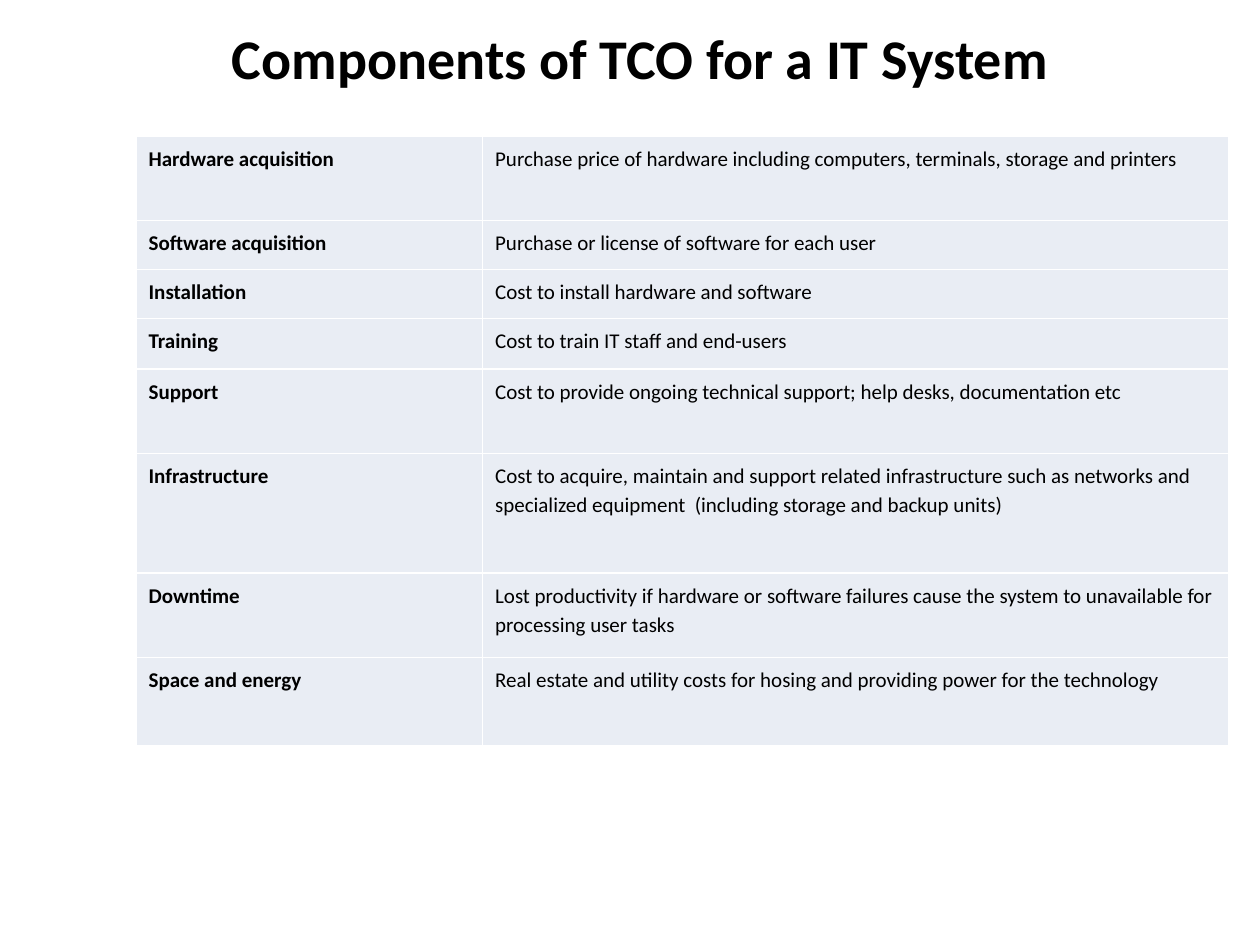
from lxml.etree import SubElement
from pptx import Presentation
from pptx.dml.color import RGBColor
from pptx.enum.text import MSO_ANCHOR, PP_ALIGN
from pptx.oxml.ns import qn
from pptx.util import Inches, Pt

COMPONENTS = [
    # name, description, row height
    ("Hardware acquisition",
     "Purchase price of hardware including computers, terminals, storage and printers", 0.67),
    ("Software acquisition", "Purchase or license of software for each user", 0.39),
    ("Installation", "Cost to install hardware and software", 0.39),
    ("Training", "Cost to train IT staff and end-users", 0.4),
    ("Support",
     "Cost to provide ongoing technical support; help desks, documentation etc", 0.67),
    ("Infrastructure",
     "Cost to acquire, maintain and support related infrastructure such as networks and "
     "specialized equipment  (including storage and backup units)", 0.95),
    ("Downtime",
     "Lost productivity if hardware or software failures cause the system to unavailable "
     "for processing user tasks", 0.67),
    ("Space and energy",
     "Real estate and utility costs for hosing and providing power for the technology", 0.7),
]
COLUMN_WIDTHS = [2.75, 5.92]


def color(hex_string):
    return RGBColor.from_string(hex_string)


class SlideBuilder:
    font_name = "Calibri"
    text_color = "000000"
    cell_color = "E9EDF4"
    border_color = "FFFFFF"

    def __init__(self, slide):
        self.slide = slide

    def style(self, paragraph, size, bold):
        font = paragraph.font
        font.name = self.font_name
        font.size = Pt(size)
        font.bold = bold
        font.color.rgb = color(self.text_color)

    def title(self, text, left, top, width, height):
        title = self.slide.shapes.title
        title.left, title.top = Inches(left), Inches(top)
        title.width, title.height = Inches(width), Inches(height)
        title.text_frame.text = text
        title.text_frame.vertical_anchor = MSO_ANCHOR.MIDDLE
        paragraph = title.text_frame.paragraphs[0]
        paragraph.alignment = PP_ALIGN.CENTER
        self.style(paragraph, 32, True)

    def table(self, rows, column_widths, left, top):
        height = sum(row[-1] for row in rows)
        table = self.slide.shapes.add_table(
            len(rows), len(column_widths), Inches(left), Inches(top),
            Inches(sum(column_widths)), Inches(height)).table
        table.first_row = table.horz_banding = False
        for column, width in zip(table.columns, column_widths):
            column.width = Inches(width)
        for row, (name, description, row_height) in zip(table.rows, rows):
            row.height = Inches(row_height)
            self.cell(row.cells[0], name, True)
            self.cell(row.cells[1], description, False)

    def cell(self, cell, text, bold):
        cell.text = text
        paragraph = cell.text_frame.paragraphs[0]
        paragraph.line_spacing = 1.15
        self.style(paragraph, 12, bold)
        self.borders(cell)
        cell.fill.solid()
        cell.fill.fore_color.rgb = color(self.cell_color)

    def borders(self, cell):
        """Draw all four sides; must run before the fill, which follows them in the XML."""
        properties = cell._tc.get_or_add_tcPr()
        for side in ("a:lnL", "a:lnR", "a:lnT", "a:lnB"):
            line = SubElement(properties, qn(side), w=str(Pt(1)))
            fill = SubElement(line, qn("a:solidFill"))
            SubElement(fill, qn("a:srgbClr"), val=self.border_color)


def main():
    presentation = Presentation()
    presentation.slide_width, presentation.slide_height = Inches(10), Inches(7.5)
    title_only = presentation.slide_layouts[5]
    builder = SlideBuilder(presentation.slides.add_slide(title_only))
    builder.title("Components of TCO for a IT System", 0.58, -0.17, 9, 1.25)
    builder.table(COMPONENTS, COLUMN_WIDTHS, 1.08, 1.08)
    presentation.save("out.pptx")


if __name__ == "__main__":
    main()
